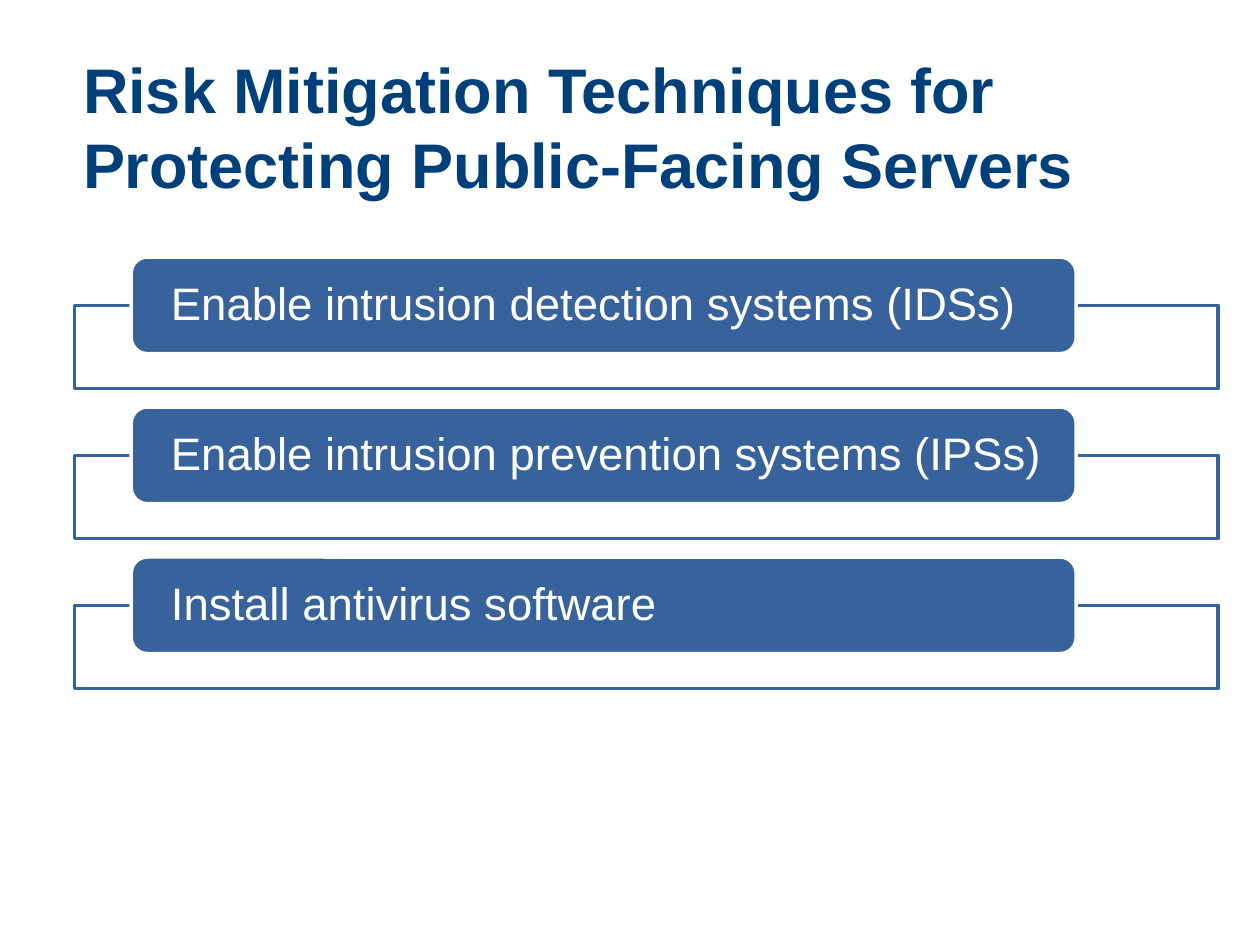
import pptx
import pptx.util
import pptx.dml.color
import pptx.enum.shapes
import pptx.enum.text
from lxml import etree

Pt = pptx.util.Pt
SHAPE = pptx.enum.shapes.MSO_SHAPE
ANCHOR = pptx.enum.text.MSO_ANCHOR
ALIGN = pptx.enum.text.PP_ALIGN

COLORS = {"title": "00407A", "bar": "38629C", "white": "FFFFFF"}
TITLE = "Risk Mitigation Techniques for Protecting Public-Facing Servers"
TECHNIQUES = [
    "Enable intrusion detection systems (IDSs)",
    "Enable intrusion prevention systems (IPSs)",
    "Install antivirus software",
]


def rgb(name):
    return pptx.dml.color.RGBColor.from_string(COLORS[name])


def set_text(sp, text, size, color, anchor, insets):
    tf = sp.text_frame
    tf.word_wrap = True
    tf.vertical_anchor = anchor
    tf.margin_left, tf.margin_top, tf.margin_right, tf.margin_bottom = map(Pt, insets)
    p = tf.paragraphs[0]
    p.text = text
    p.alignment = ALIGN.LEFT
    p.font.name = "Arial"
    p.font.size = Pt(size)
    p.font.color.rgb = rgb(color)
    return p


def add_box(slide, kind, box, fill, line):
    sp = slide.shapes.add_shape(kind, *map(Pt, box))
    sp.shadow.inherit = False
    sp.fill.solid()
    sp.fill.fore_color.rgb = rgb(fill)
    sp.line.color.rgb = rgb(line)
    sp.line.width = Pt(2)
    return sp


def set_alpha(sp, percent):
    color = sp.fill._xPr.find(".//" + pptx.oxml.ns.qn("a:srgbClr"))
    alpha = etree.SubElement(color, pptx.oxml.ns.qn("a:alpha"))
    alpha.set("val", str(percent * 1000))


def add_title(slide, x, y, w, h):
    sp = slide.shapes.add_textbox(*map(Pt, (x, y, w, h)))
    p = set_text(sp, TITLE, 36, "title", ANCHOR.TOP, (5, 5, 5, 0))
    p.font.bold = True
    p.line_spacing = Pt(43)


def add_technique(slide, text, x, y, w):
    bar_h, frame_h, indent, bar_w = 55.2, 47.5, 32.5, 540
    # Open frame starting at the middle of the bar
    frame = add_box(slide, SHAPE.RECTANGLE, (x, y + bar_h / 2, w, frame_h), "white", "bar")
    set_alpha(frame, 90)
    # Labelled bar
    bar = add_box(slide, SHAPE.ROUNDED_RECTANGLE, (x + indent, y, bar_w, bar_h), "bar", "white")
    p = set_text(bar, text, 26, "white", ANCHOR.MIDDLE, (20, 0, 10, 0))
    p.line_spacing = 0.9


def add_list(slide, x, y, w, pitch):
    for i, text in enumerate(TECHNIQUES):
        add_technique(slide, text, x, y + i * pitch, w)


def main():
    prs = pptx.Presentation()
    prs.slide_width, prs.slide_height = Pt(720), Pt(540)
    slide = prs.slides.add_slide(prs.slide_layouts[6])
    add_title(slide, 42.5, 23.8, 653.5, 78)
    add_list(slide, 42.5, 146.9, 653.5, 85.7)
    prs.save("out.pptx")


if __name__ == "__main__":
    main()
